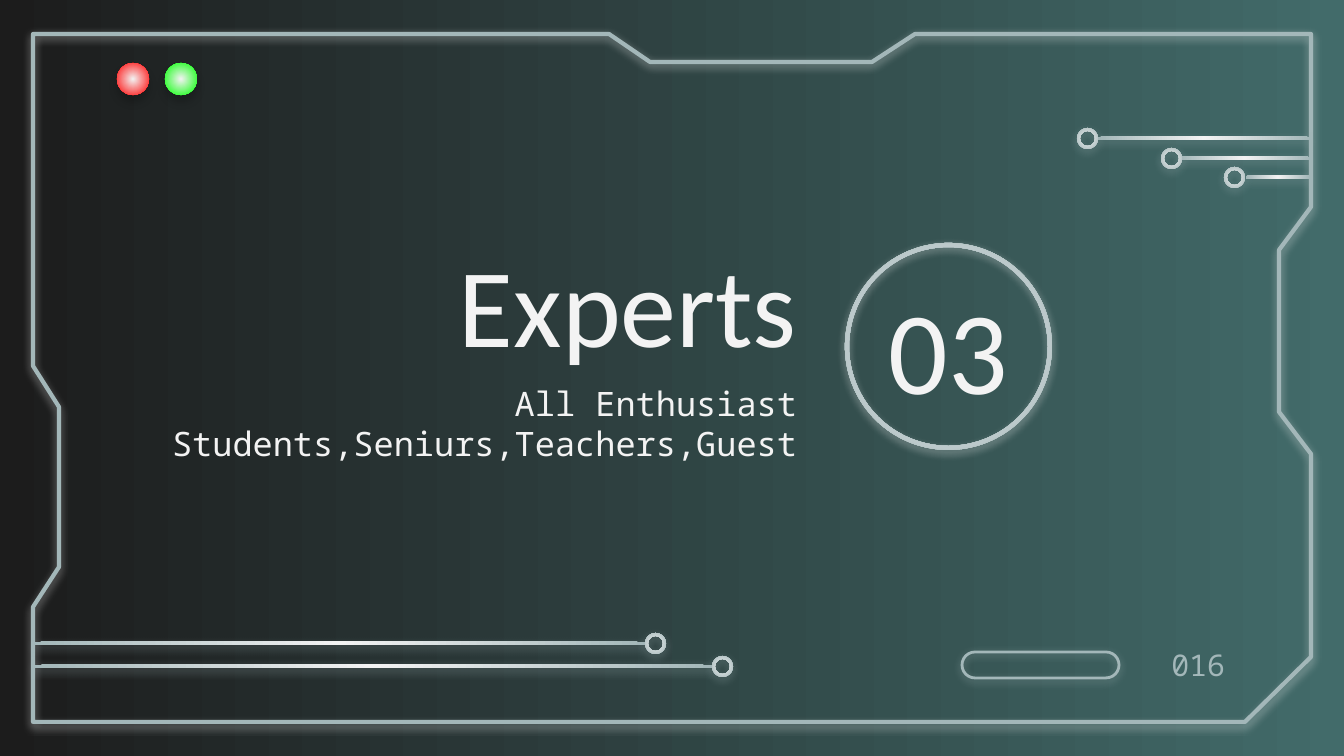
from lxml.etree import SubElement
from pptx import Presentation
from pptx.dml.color import RGBColor
from pptx.enum.shapes import MSO_SHAPE as SHAPE
from pptx.enum.text import MSO_ANCHOR as ANCHOR, MSO_AUTO_SIZE as AUTO_SIZE, PP_ALIGN as ALIGN
from pptx.oxml import parse_xml
from pptx.oxml.ns import nsdecls, qn
from pptx.util import Pt

PX = 9144000 / 1344
COLORS = {
    "dark": "1C1C1C", "teal": "426B6A", "white": "F3F3F3", "steel": "A3B7B9",
    "red": "FF0000", "green": "00FF00", "black": "000000",
}


def style(shape, edge=None, glow="steel", alpha=50, distance=1.5):
    """Give a radial fill from white to the edge colour, or none, and a soft shadow below."""
    if edge:
        shape.fill.gradient()
        for stop, color in zip(shape.fill.gradient_stops, ("white", edge)):
            stop.color.rgb = RGBColor.from_string(COLORS[color])
        gradient = shape._element.spPr.find(qn("a:gradFill"))
        gradient.replace(gradient.find(qn("a:lin")), parse_xml(
            f'<a:path {nsdecls("a")} path="circle">'
            '<a:fillToRect l="50000" t="50000" r="50000" b="50000"/></a:path>'))
        shape.line.fill.background()
    else:
        shape.fill.background()
        shape.line.color.rgb = RGBColor.from_string(COLORS["steel"])
    shape.shadow.inherit = False
    effects = shape._element.spPr.find(qn("a:effectLst"))
    shadow = SubElement(effects, qn("a:outerShdw"), blurRad=str(Pt(4.5)),
                        dist=str(Pt(distance)), dir="5400000", algn="bl", rotWithShape="0")
    tint = SubElement(shadow, qn("a:srgbClr"), val=COLORS[glow])
    SubElement(tint, qn("a:alpha"), val=str(alpha * 1000))


def write(box, place, text, font, size, align, anchor, color="white", left_inset=13):
    box.left, box.top, box.width, box.height = (round(v * PX) for v in place)
    frame = box.text_frame
    frame.word_wrap = True
    frame.auto_size = AUTO_SIZE.NONE
    frame.vertical_anchor = anchor
    frame.margin_left = round(left_inset * PX)
    frame.margin_top = frame.margin_right = frame.margin_bottom = round(13 * PX)
    paragraph = frame.paragraphs[0]
    paragraph.alignment = align
    paragraph.space_before = Pt(0)
    run = paragraph.add_run()
    run.text = text
    run.font.name = font
    run.font.size = Pt(size)
    run.font.color.rgb = RGBColor.from_string(COLORS[color])


prs = Presentation()
prs.slide_width, prs.slide_height = round(1344 * PX), round(756 * PX)
slide = prs.slides.add_slide(prs.slide_layouts[0])
shapes = slide.shapes

# Background
background = slide.background.fill
background.gradient()
background.gradient_angle = 0
for stop, color in zip(background.gradient_stops, ("dark", "teal")):
    stop.color.rgb = RGBColor.from_string(COLORS[color])

# Notched frame
corners = [
    (33, 34), (609, 34), (650, 62), (872, 62), (915, 34), (1311, 34),
    (1311, 207), (1279, 250), (1279, 412), (1311, 454), (1311, 657), (1245, 722),
    (33, 722), (33, 607), (59, 567), (59, 407), (33, 366),
]
outline = shapes.build_freeform(*corners[0], scale=PX)
outline.add_line_segments(corners[1:], close=True)
frame_border = outline.convert_to_shape()
style(frame_border, glow="white")
frame_border.line.width = Pt(2.25)

# Section heading and number
number_ring = shapes.add_shape(SHAPE.DONUT, *(round(v * PX) for v in (845, 243, 207, 207)))
number_ring.adjustments[0] = 0.02
style(number_ring, "steel", glow="white")

write(shapes.title, (270, 235, 540, 135), "Experts", "Calibri", 60, ALIGN.RIGHT, ANCHOR.MIDDLE)
write(slide.placeholders[1], (117, 370, 693, 156),
      "All Enthusiast Students,Seniurs,Teachers,Guest",
      "Noto Sans Mono", 18, ALIGN.RIGHT, ANCHOR.TOP)
write(shapes.add_textbox(0, 0, 0, 0), (845, 270, 207, 155), "03", "Calibri", 63,
      ALIGN.CENTER, ANCHOR.MIDDLE)

# Circuit traces: bar left, bar right, bar top, ring left
traces = [
    (1098, 1310, 137, 1077), (1179, 1310, 157, 1161), (1246, 1310, 176, 1224),
    (33, 712, 665, 712), (33, 645, 642, 645),
]
for bar_left, bar_right, bar_top, ring_left in traces:
    bar = shapes.add_shape(SHAPE.RECTANGLE, *(
        round(v * PX) for v in (bar_left, bar_top, bar_right - bar_left, 3)))
    style(bar, "steel")
    ring = shapes.add_shape(SHAPE.DONUT, *(
        round(v * PX) for v in (ring_left, bar_top - 9, 21, 21)))
    ring.adjustments[0] = 0.14
    style(ring, "steel")

# Indicator lights
for left, color in ((117, "red"), (165, "green")):
    light = shapes.add_shape(SHAPE.OVAL, *(round(v * PX) for v in (left, 63, 32, 32)))
    style(light, color, glow="black", alpha=20, distance=3.8)

# Page number and its pill
write(shapes.add_textbox(0, 0, 0, 0), (1157, 652, 81, 26), "016", "Noto Sans Mono", 16,
      ALIGN.RIGHT, ANCHOR.MIDDLE, color="steel", left_inset=0)
pill = shapes.add_shape(SHAPE.ROUNDED_RECTANGLE, *(round(v * PX) for v in (962, 652, 157, 26)))
pill.adjustments[0] = 0.5
style(pill)
pill.line.width = Pt(1.5)

prs.save("out.pptx")
